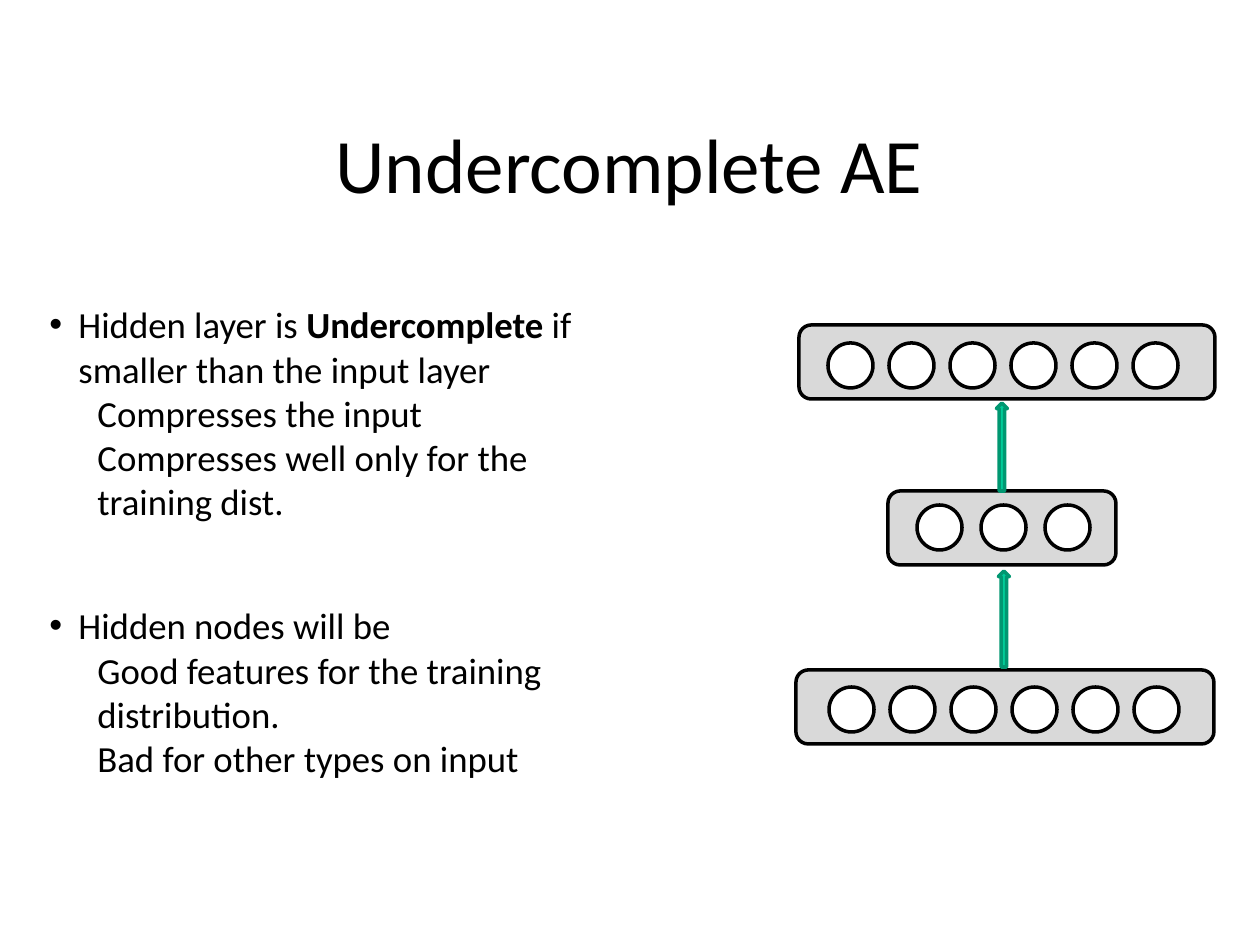
from lxml.etree import SubElement
from pptx import Presentation
from pptx.dml.color import RGBColor
from pptx.enum.shapes import MSO_SHAPE
from pptx.enum.text import MSO_ANCHOR, PP_ALIGN
from pptx.oxml.ns import qn
from pptx.util import Emu, Pt

PX_PER_INCH = 126


def px(length):
    return Emu(round(length * 914400 / PX_PER_INCH))


def color(code):
    return RGBColor.from_string(code)


class SlideBuilder:
    font = "Calibri"
    ink = "000000"
    panel = "D9D9D9"
    node = "FFFFFF"
    arrow_fill = "00CC99"
    arrow_line = "009771"
    node_size = 45
    layer_height = 74

    def __init__(self, page):
        self.page = page

    def shape(self, kind, left, top, width, height, fill, line):
        shape = self.page.shapes.add_shape(
            kind, px(left), px(top), px(width), px(height))
        shape.shadow.inherit = False
        shape.fill.solid()
        shape.fill.fore_color.rgb = color(fill)
        shape.line.color.rgb = color(line)
        shape.line.width = Pt(2)
        return shape

    def layer(self, left, top, width, first, node_top, count, pitch):
        """A rounded panel holding a row of evenly spaced nodes."""
        self.shape(MSO_SHAPE.ROUNDED_RECTANGLE, left, top, width,
                   self.layer_height, self.panel, self.ink)
        for index in range(count):
            self.shape(MSO_SHAPE.OVAL, first + index * pitch, node_top,
                       self.node_size, self.node_size, self.node, self.ink)

    def up_arrow(self, center_x, center_y, length, thickness=11):
        arrow = self.shape(
            MSO_SHAPE.RIGHT_ARROW, center_x - length / 2,
            center_y - thickness / 2, length, thickness,
            self.arrow_fill, self.arrow_line)
        arrow.rotation = 270

    def text_frame(self, left, top, width, height):
        box = self.page.shapes.add_textbox(
            px(left), px(top), px(width), px(height))
        box.text_frame.word_wrap = True
        return box.text_frame

    def style(self, para, size):
        para.font.name = self.font
        para.font.size = Pt(size)
        para.font.color.rgb = color(self.ink)

    def title(self, left, top, width, height, text):
        frame = self.text_frame(left, top, width, height)
        frame.vertical_anchor = MSO_ANCHOR.MIDDLE
        para = frame.paragraphs[0]
        para.text = text
        para.alignment = PP_ALIGN.CENTER
        self.style(para, 44)

    def bullet_block(self, left, top, width, height, heading, details):
        """A bulleted heading of (text, bold) spans with indented details."""
        frame = self.text_frame(left, top, width, height)
        para = frame.paragraphs[0]
        for text, bold in heading:
            span = para.add_run()
            span.text = text
            if bold:
                span.font.bold = True
        properties = para._p.get_or_add_pPr()
        properties.set("marL", str(px(29)))
        properties.set("indent", str(-px(29)))
        SubElement(properties, qn("a:buFont"), typeface="Arial")
        SubElement(properties, qn("a:buChar"), char="•")
        self.style(para, 21)
        for detail in details:
            para = frame.add_paragraph()
            para.text = detail
            para.level = 1
            properties = para._p.get_or_add_pPr()
            properties.set("marL", str(px(48)))
            properties.set("indent", "0")
            SubElement(properties, qn("a:buNone"))
            self.style(para, 21)


def main():
    deck = Presentation()
    deck.slide_width, deck.slide_height = px(1260), px(945)
    page = deck.slides.add_slide(deck.slide_layouts[6])
    builder = SlideBuilder(page)

    builder.title(94, 84, 1071, 158, "Undercomplete AE")

    # Network layers: output, input, hidden
    builder.layer(799, 325, 416, first=828, node_top=343, count=6, pitch=61)
    builder.layer(796, 670, 418, first=829, node_top=687, count=6, pitch=61)
    builder.layer(888, 491, 228, first=917, node_top=505, count=3, pitch=64)

    # Arrows from input to hidden and from hidden to output
    builder.up_arrow(1004, 619, 96)
    builder.up_arrow(1002, 447, 88)

    # Explanations
    builder.bullet_block(
        37, 296, 548, 236,
        [("Hidden layer is ", False), ("Undercomplete ", True),
         ("if smaller than the input layer", False)],
        ["Compresses the input",
         "Compresses well only for the training dist."])
    builder.bullet_block(
        37, 597, 575, 190,
        [("Hidden nodes will be", False)],
        ["Good features for the training distribution.",
         "Bad for other types on input"])

    deck.save("out.pptx")


if __name__ == "__main__":
    main()
